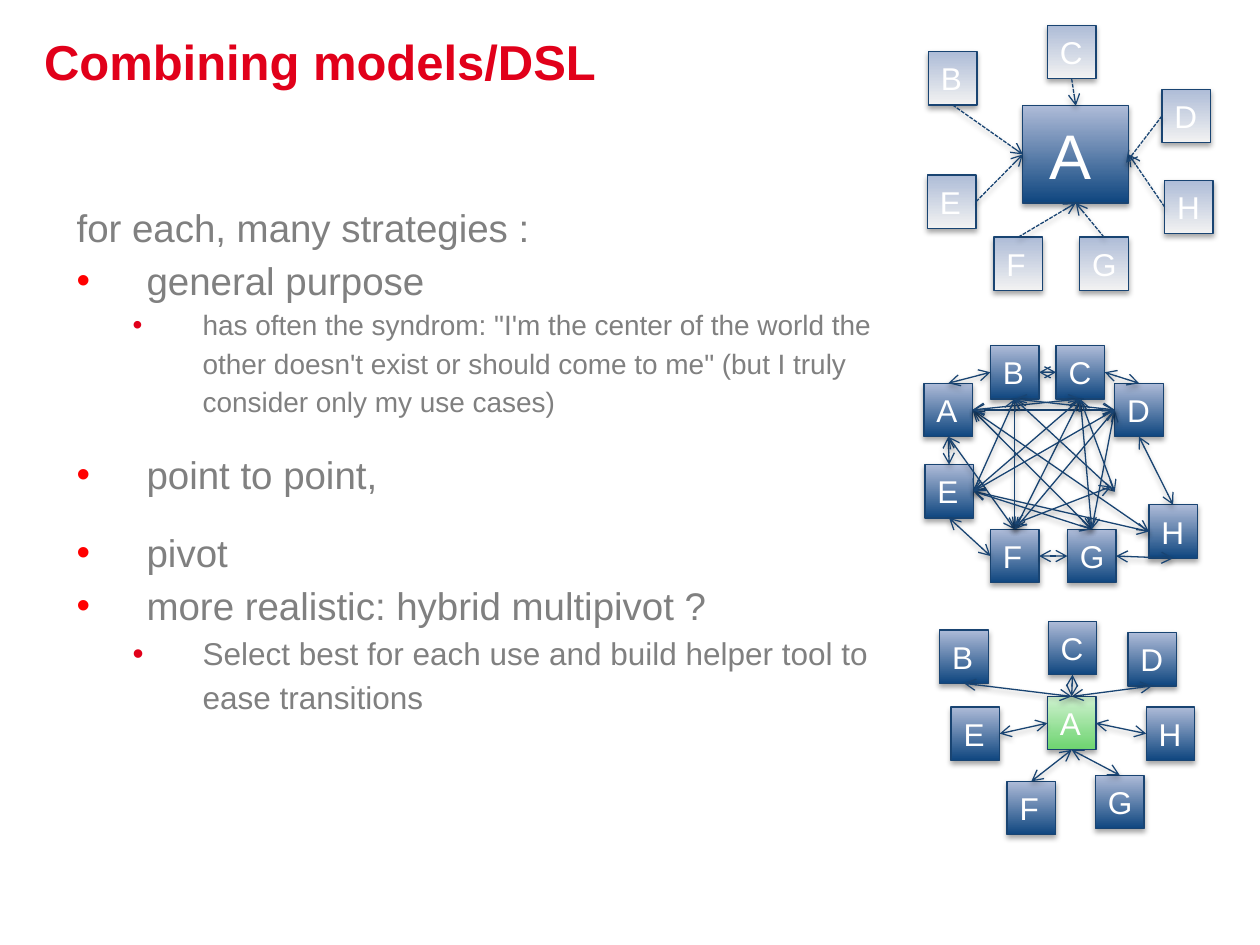
"""Builds the slide on strategies for combining models and DSLs."""
from lxml import etree
from pptx import Presentation
from pptx import util as u
from pptx.dml.color import RGBColor
from pptx.enum import dml, shapes, text
from pptx.oxml import ns

FONT = "Arial"
RED, BULLET_RED, GREY, WHITE, NAVY = "E1001A", "FF0000", "808080", "FFFFFF", "194472"
BLUE_FILL, PALE_FILL, GREEN_FILL = ("0F467F", "AEBBD8"), ("F2F2F2", "AEBCD7"), ("6DD46F", "CEF1CF")
BOX_SIZE = (27.75, 30.5)
SIDES = "tlbr"

TITLE = "Combining models/DSL"
STRATEGIES = [
    ("for each, many strategies :", 22, 1.7, 27, -27, None),
    ("general purpose", 22, 1.15, 40, -40, BULLET_RED),
    ("has often the syndrom: \"I'm the center of the world the other doesn't exist or should "
     "come to me\" (but I truly consider only my use cases)", 16, 1.15, 72, -40, RED),
    ("point to point,", 22, 1.7, 40, -40, BULLET_RED),
    ("pivot", 22, 1.7, 40, -40, BULLET_RED),
    ("more realistic: hybrid multipivot ?", 22, 1.15, 40, -40, BULLET_RED),
    ("Select best for each use and build helper tool to ease transitions", 18, 1.15, 72, -40, RED),
]

LOOSE_END = (637, 281)
DIAGRAMS = [
    {
        "boxes": {"A": (584.5, 60.5), "B": (530.5, 29.5), "C": (598.5, 14.5), "D": (664, 51),
                  "E": (530, 100), "F": (568, 135.5), "G": (617, 135.5), "H": (665.5, 103)},
        "fill": PALE_FILL,
        "center": {"label": " A", "fill": BLUE_FILL, "size": (60.5, 55.5), "font_size": 36},
        "links": ["Bb Al", "Er Al", "Ft Ab", "Gt Ab", "Hl Ar", "Cb At"],
        "loose": [((664, 66.25), (643.5, 93))],
        "one_way": True,
    },
    {
        "boxes": {"A": (528, 219), "B": (566, 197.5), "C": (603.5, 197.5), "D": (637, 219),
                  "E": (528.5, 265.5), "F": (566, 302.5), "G": (610, 302.5), "H": (656.5, 288.5)},
        "fill": BLUE_FILL,
        "center": {},
        "links": ["Ab Et", "Ab Ft", "Ar Gt", "Ar Hl", "Ar Dl", "Ar Cb", "At Bl", "Br Cl", "Cr Dt",
                  "Db Ht", "Hb Gr", "Gl Fr", "Fl Eb", "Er Hl", "Bb Dl", "Bb Ft", "Bb Er", "Cb Gt",
                  "Cb Ft", "Cb Er", "Er Gt", "Dl Gt", "Dl Ft", "Dl Er"],
        "loose": [((579.75, 228), LOOSE_END), ((617.25, 228), LOOSE_END),
                  ((635, 278), (579.5, 299.5))],
        "one_way": False,
    },
    {
        "boxes": {"A": (598.5, 398), "B": (537, 360), "C": (599, 355), "D": (644.5, 361.5),
                  "E": (543.5, 404), "F": (575.5, 446.5), "G": (626, 443), "H": (655, 404)},
        "fill": BLUE_FILL,
        "center": {"fill": GREEN_FILL},
        "links": ["Ab Ft", "Ab Gt", "Ar Hl", "At Db", "At Cb", "Er Al", "Bb At"],
        "loose": [],
        "one_way": False,
    },
]


def color(hex_code):
    return RGBColor.from_string(hex_code)


def add_element(parent, tag, **attributes):
    return etree.SubElement(parent, ns.qn(tag), **attributes)


def style_text(paragraph, size, hex_code, bold=False):
    for run in paragraph.runs:
        run.font.name, run.font.size, run.font.bold = FONT, u.Pt(size), bold
        run.font.color.rgb = color(hex_code)


def outline_and_shadow(shape):
    shape.line.color.rgb = color(NAVY)
    shape.line.width = u.Pt(0.75)
    effects = add_element(shape._element.spPr, "a:effectLst")
    shadow = add_element(effects, "a:outerShdw", blurRad=str(u.Pt(3.1)), dist=str(u.Pt(1.8)),
                         dir="5400000", rotWithShape="0")
    add_element(add_element(shadow, "a:srgbClr", val="000000"), "a:alpha", val="35000")


def add_title(slide):
    title = slide.shapes.title
    title.left, title.top, title.width, title.height = map(u.Pt, (25.2, 9.4, 674.6, 51))
    frame = title.text_frame
    frame.text = TITLE
    frame.margin_left = frame.margin_right = frame.margin_top = frame.margin_bottom = 0
    frame.vertical_anchor = text.MSO_ANCHOR.MIDDLE
    frame.paragraphs[0].alignment = text.PP_ALIGN.LEFT
    style_text(frame.paragraphs[0], 28, RED, True)


def add_strategies(slide):
    frame = slide.shapes.add_textbox(*map(u.Pt, (36.75, 94.3, 487.5, 385.2))).text_frame
    frame.word_wrap = True
    for index, (words, size, spacing, margin, indent, bullet) in enumerate(STRATEGIES):
        paragraph = frame.add_paragraph() if index else frame.paragraphs[0]
        paragraph.text = words
        paragraph.line_spacing = spacing
        properties = paragraph._p.get_or_add_pPr()
        properties.set("marL", str(u.Pt(margin)))
        properties.set("indent", str(u.Pt(indent)))
        if bullet:
            add_element(add_element(properties, "a:buClr"), "a:srgbClr", val=bullet)
            add_element(properties, "a:buFont", typeface=FONT)
            add_element(properties, "a:buChar", char="•")
        style_text(paragraph, size, GREY)


def add_box(slide, position, label, fill, size=BOX_SIZE, font_size=18):
    box = slide.shapes.add_shape(shapes.MSO_SHAPE.RECTANGLE, *map(u.Pt, position + size))
    box.fill.gradient()
    box.fill.gradient_angle = 90
    for stop, hex_code in zip(box.fill.gradient_stops, fill):
        stop.color.rgb = color(hex_code)
    outline_and_shadow(box)
    box.text_frame.text = label
    paragraph = box.text_frame.paragraphs[0]
    paragraph.alignment = text.PP_ALIGN.LEFT
    style_text(paragraph, font_size, WHITE)
    return box


def add_arrow(slide, one_way, start=(0, 0), end=(0, 0)):
    arrow = slide.shapes.add_connector(shapes.MSO_CONNECTOR.STRAIGHT, *map(u.Pt, start + end))
    outline_and_shadow(arrow)
    if one_way:
        arrow.line.dash_style = dml.MSO_LINE.SQUARE_DOT
    line = arrow.line._get_or_add_ln()
    for tag in ["a:tailEnd"] if one_way else ["a:headEnd", "a:tailEnd"]:
        add_element(line, tag, type="arrow")
    return arrow


def add_diagram(slide, diagram):
    boxes = {}
    for name, position in diagram["boxes"].items():
        style = {"label": name, "fill": diagram["fill"]}
        if name == "A":
            style.update(diagram["center"])
        boxes[name] = add_box(slide, position, **style)
    for link in diagram["links"]:
        (source, source_side), (target, target_side) = link.split()
        arrow = add_arrow(slide, diagram["one_way"])
        arrow.begin_connect(boxes[source], SIDES.index(source_side))
        arrow.end_connect(boxes[target], SIDES.index(target_side))
    for start, end in diagram["loose"]:
        add_arrow(slide, diagram["one_way"], start, end)


def main():
    presentation = Presentation()
    presentation.slide_width, presentation.slide_height = u.Pt(720), u.Pt(540)
    slide = presentation.slides.add_slide(presentation.slide_layouts[5])
    add_title(slide)
    add_strategies(slide)
    for diagram in DIAGRAMS:
        add_diagram(slide, diagram)
    presentation.save("out.pptx")


if __name__ == "__main__":
    main()
